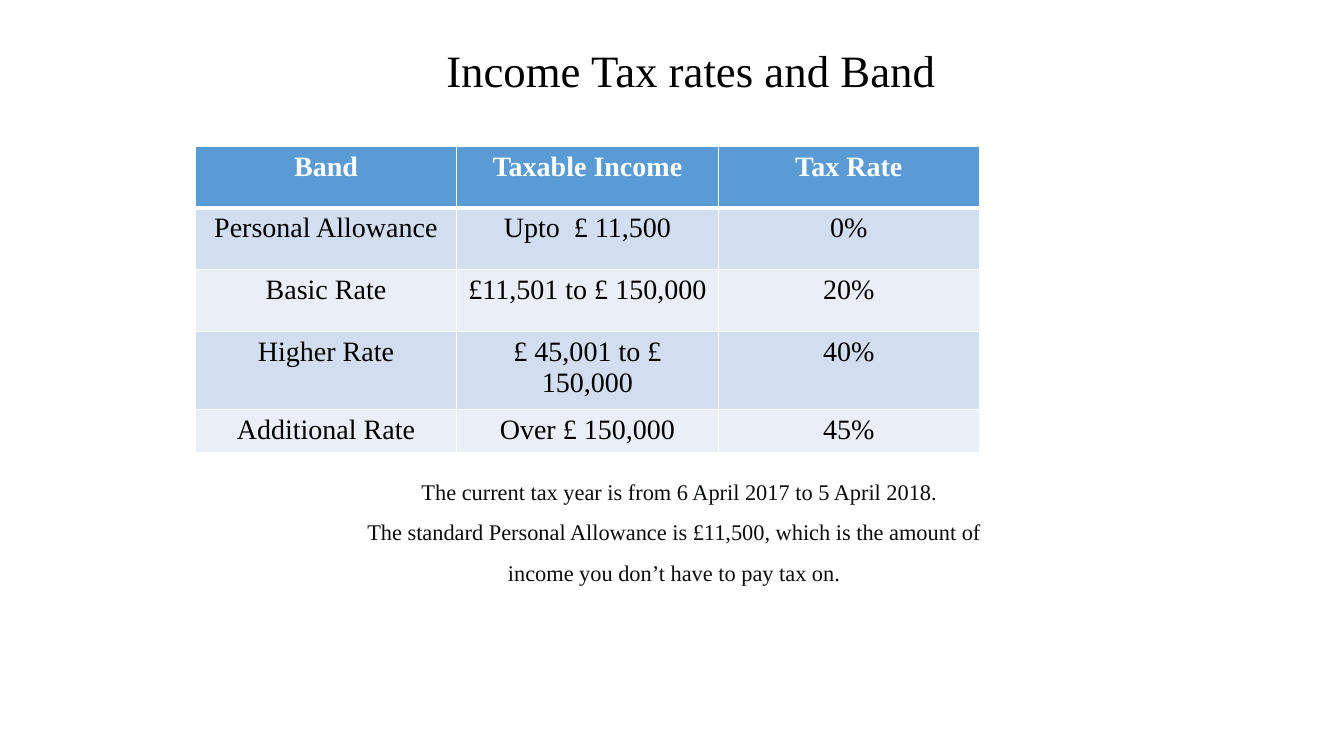
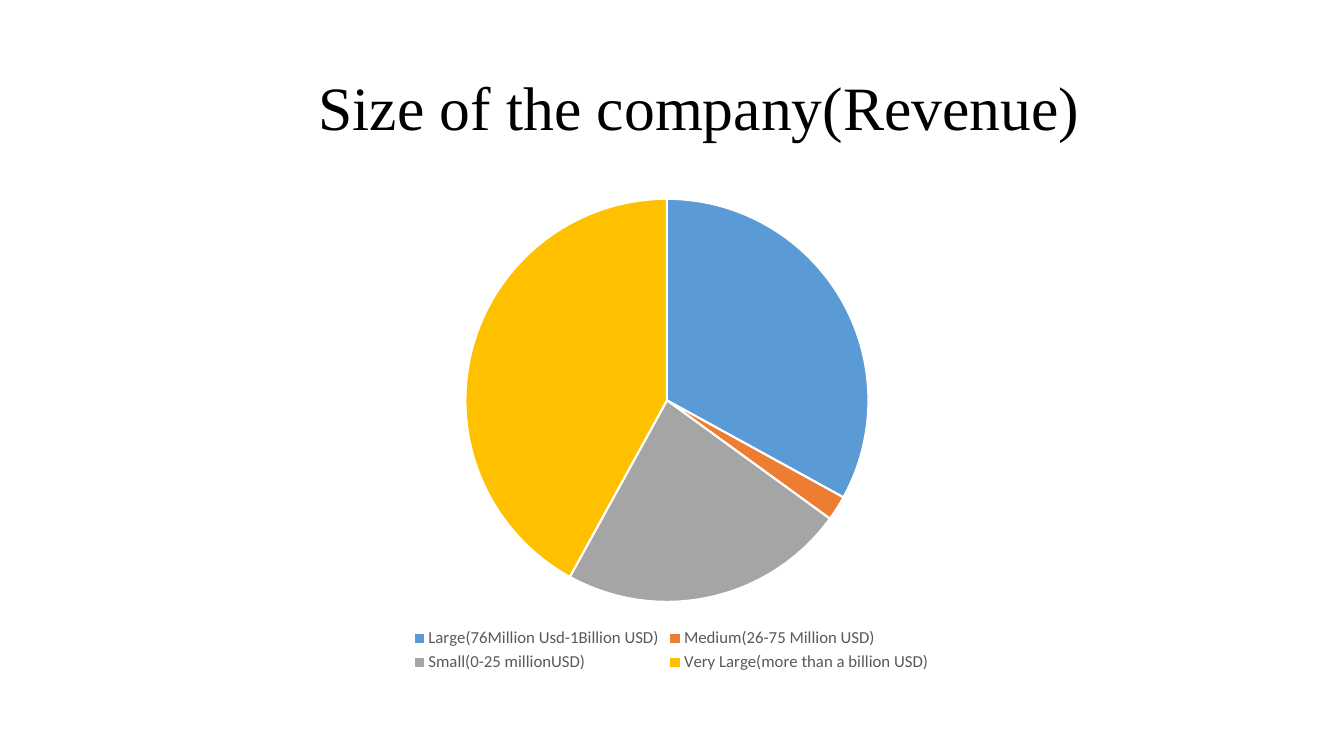
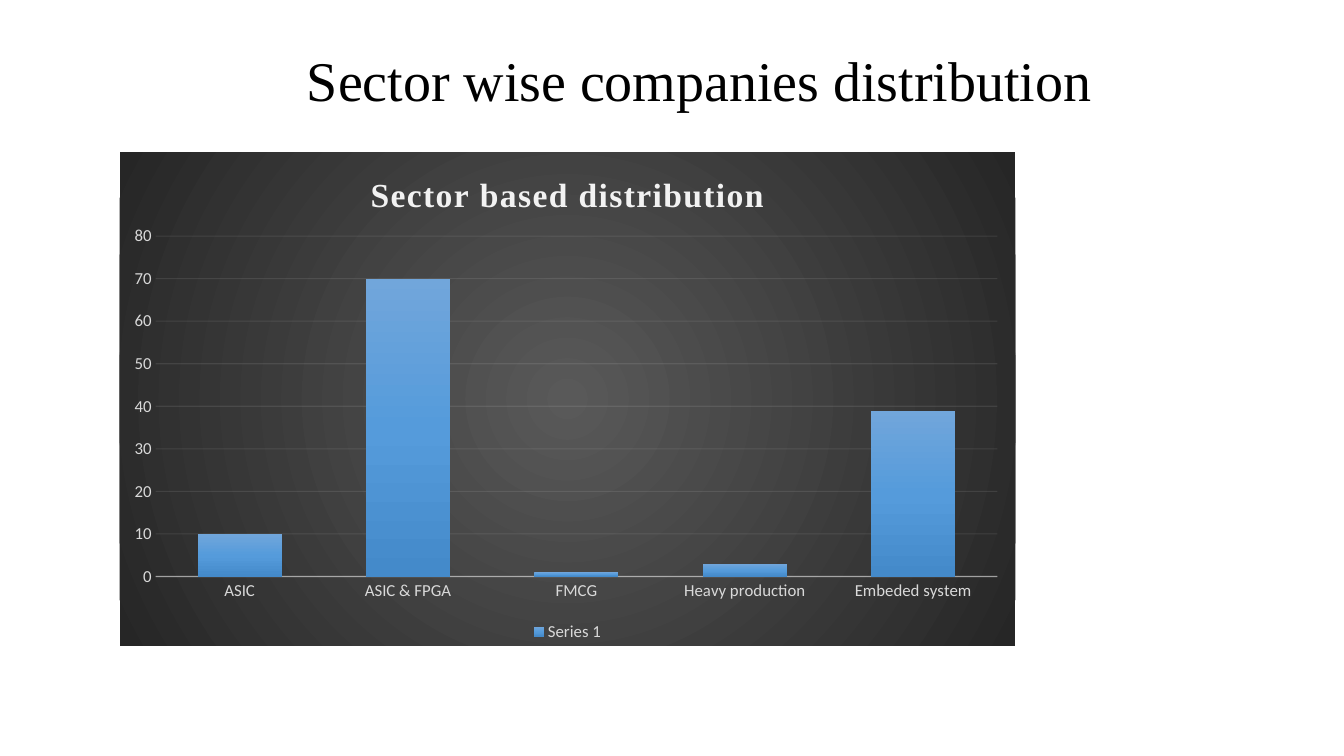
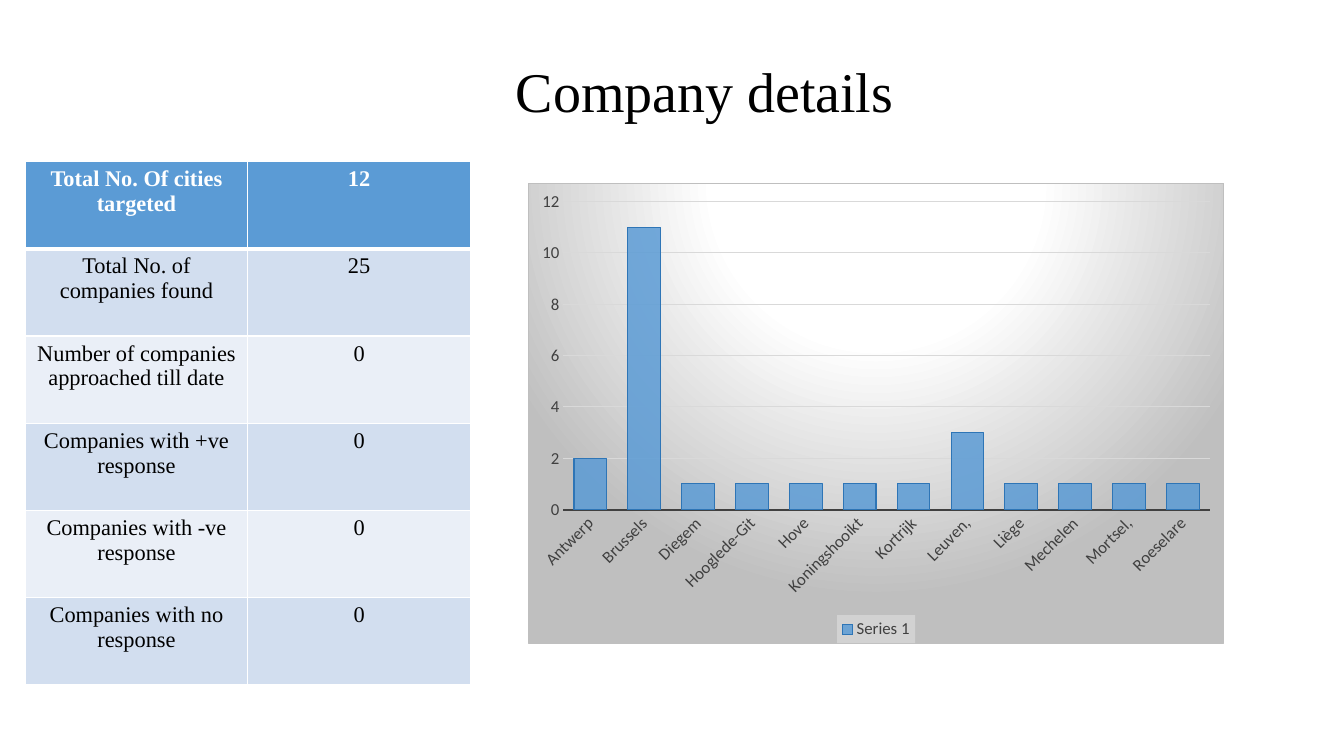
from pptx import Presentation
from pptx.chart.data import CategoryChartData
from pptx.dml.color import RGBColor
from pptx.enum.chart import XL_CHART_TYPE, XL_LEGEND_POSITION, XL_TICK_MARK
from pptx.enum.text import MSO_ANCHOR, PP_ALIGN
from pptx.oxml import parse_xml
from pptx.oxml.ns import nsdecls, qn
from pptx.util import Emu, Pt

EMU_PER_PX = 9525
SERIF = "Times New Roman"
SANS = "Calibri"

BLACK = RGBColor(0x00, 0x00, 0x00)
WHITE = RGBColor(0xFF, 0xFF, 0xFF)
INK = RGBColor(0x0B, 0x0C, 0x0C)
BLUE = RGBColor(0x5B, 0x9B, 0xD5)
DARK_BLUE = RGBColor(0x2E, 0x75, 0xB6)
ORANGE = RGBColor(0xED, 0x7D, 0x31)
GREY = RGBColor(0xA5, 0xA5, 0xA5)
YELLOW = RGBColor(0xFF, 0xC0, 0x00)
BAND_DARK = RGBColor(0xD2, 0xDE, 0xEF)
BAND_LIGHT = RGBColor(0xEA, 0xEF, 0xF7)
PALE = RGBColor(0xF2, 0xF2, 0xF2)
LIGHT_GREY = RGBColor(0xD9, 0xD9, 0xD9)
SILVER = RGBColor(0xBF, 0xBF, 0xBF)
MID_GREY = RGBColor(0x59, 0x59, 0x59)
DARK_GREY = RGBColor(0x40, 0x40, 0x40)
CHARCOAL = RGBColor(0x26, 0x26, 0x26)
BAR_TOP = RGBColor(0x71, 0xA6, 0xDB)
BAR_MIDDLE = RGBColor(0x55, 0x9B, 0xDB)
BAR_BOTTOM = RGBColor(0x44, 0x8A, 0xCA)


def px(*lengths):
    return [Emu(length * EMU_PER_PX) for length in lengths]


def style_font(font, size, color, name, bold=False):
    font.size = Pt(size)
    font.color.rgb = color
    font.name = name
    font.bold = bold


def write_paragraph(paragraph, text, size, color, bold=False):
    paragraph.alignment = PP_ALIGN.CENTER
    run = paragraph.add_run()
    run.text = text
    style_font(run.font, size, color, SERIF, bold)
    return run


def add_text_frame(slide, box):
    frame = slide.shapes.add_textbox(*px(*box)).text_frame
    frame.word_wrap = True
    return frame


def add_title(slide, text, box, size):
    frame = add_text_frame(slide, box)
    frame.vertical_anchor = MSO_ANCHOR.MIDDLE
    frame.paragraphs[0].line_spacing = 0.9
    write_paragraph(frame.paragraphs[0], text, size, BLACK)


def add_notice(slide, box, lines):
    """Add centred lines, each given as (text, left indent in px)."""
    frame = add_text_frame(slide, box)
    for index, (text, indent) in enumerate(lines):
        paragraph = frame.add_paragraph() if index else frame.paragraphs[0]
        paragraph.line_spacing = 1.5
        properties = paragraph._p.get_or_add_pPr()
        properties.set("marL", str(indent * EMU_PER_PX))
        properties.set("indent", "0")
        write_paragraph(paragraph, text, 16, INK)


def set_borders(cell, top, bottom):
    properties = cell._tc.get_or_add_tcPr()
    for side, points in (("L", 1), ("R", 1), ("T", top), ("B", bottom)):
        properties.append(parse_xml(
            f'<a:ln{side} {nsdecls("a")} w="{Pt(points)}"><a:solidFill>'
            f'<a:srgbClr val="{WHITE}"/></a:solidFill></a:ln{side}>'))


def add_banded_table(slide, left, top, column_width, row_heights, rows, size):
    column_count = len(rows[0])
    position = px(left, top, column_width * column_count, sum(row_heights))
    table = slide.shapes.add_table(len(rows), column_count, *position).table
    table.horz_banding = False
    for column in table.columns:
        column.width = px(column_width)[0]
    for index, (height, texts) in enumerate(zip(row_heights, rows)):
        table.rows[index].height = px(height)[0]
        header = index == 0
        fill = BLUE if header else (BAND_LIGHT, BAND_DARK)[index % 2]
        for cell, text in zip(table.rows[index].cells, texts):
            set_borders(cell, 3 if index == 1 else 1, 3 if header else 1)
            cell.fill.solid()
            cell.fill.fore_color.rgb = fill
            write_paragraph(cell.text_frame.paragraphs[0], text, size,
                            WHITE if header else BLACK, header)


def gradient_fill(stops, direction):
    stop_list = "".join(f'<a:gs pos="{percent * 1000}"><a:srgbClr val="{color}"/></a:gs>'
                        for percent, color in stops)
    return (f'<a:gradFill rotWithShape="1"><a:gsLst>{stop_list}</a:gsLst>'
            f'{direction}</a:gradFill>')


def circle_path(left, top, right, bottom):
    """Direction of a radial gradient, with its focus in percent."""
    return (f'<a:path path="circle"><a:fillToRect l="{left * 1000}" t="{top * 1000}" '
            f'r="{right * 1000}" b="{bottom * 1000}"/></a:path>')


def shape_properties(content):
    return parse_xml(f'<c:spPr {nsdecls("c", "a")}>{content}</c:spPr>')


def set_alpha(chart_format, percent):
    properties = chart_format._element.find(qn("c:spPr"))
    for color in properties.iter(qn("a:srgbClr")):
        color.append(parse_xml(f'<a:alpha {nsdecls("a")} val="{percent * 1000}"/>'))


def set_line(chart_format, color, points):
    chart_format.line.color.rgb = color
    chart_format.line.width = Pt(points)


def set_plot_layout(chart, x, y, width, height):
    """Place the inner plot area, in fractions of the chart."""
    area = chart._chartSpace.chart.plotArea
    for layout in area.findall(qn("c:layout")):
        area.remove(layout)
    sizes = "".join(f'<c:{tag} val="{value}"/>' for tag, value in
                    (("x", x), ("y", y), ("w", width), ("h", height)))
    area.insert(0, parse_xml(
        f'<c:layout {nsdecls("c")}><c:manualLayout><c:layoutTarget val="inner"/>'
        f'<c:xMode val="edge"/><c:yMode val="edge"/>{sizes}'
        f'</c:manualLayout></c:layout>'))


def add_chart(slide, kind, box, values, text_color, plot_layout):
    data = CategoryChartData()
    data.categories = list(values)
    data.add_series("Series 1", list(values.values()))
    chart = slide.shapes.add_chart(kind, *px(*box), data).chart
    style_font(chart.font, 10, BLACK, SANS)
    chart.has_title = False
    chart.has_legend = True
    chart.legend.position = XL_LEGEND_POSITION.BOTTOM
    chart.legend.include_in_layout = False
    style_font(chart.legend.font, 12, text_color, SANS)
    set_plot_layout(chart, *plot_layout)
    return chart


def add_pie_chart(slide, box, values, colors, plot_layout):
    chart = add_chart(slide, XL_CHART_TYPE.PIE, box, values, MID_GREY, plot_layout)
    chart.plots[0].vary_by_categories = True
    for index, color in enumerate(colors):
        point_format = chart.plots[0].series[0].points[index].format
        point_format.fill.solid()
        point_format.fill.fore_color.rgb = color
        set_line(point_format, WHITE, 1.5)


def add_column_chart(slide, box, values, text_color, plot_layout, step, maximum, gap):
    chart = add_chart(slide, XL_CHART_TYPE.COLUMN_CLUSTERED, box, values,
                      text_color, plot_layout)
    chart.plots[0].vary_by_categories = False
    chart.plots[0].gap_width = gap
    for axis in (chart.category_axis, chart.value_axis):
        axis.major_tick_mark = axis.minor_tick_mark = XL_TICK_MARK.NONE
        style_font(axis.tick_labels.font, 12, text_color, SANS)
    value_axis = chart.value_axis
    value_axis.minimum_scale = 0
    value_axis.maximum_scale = maximum
    value_axis.major_unit = step
    value_axis.has_major_gridlines = True
    value_axis.format.line.fill.background()
    return chart


def set_chart_background(chart, content):
    chart._chartSpace.find(qn("c:txPr")).addprevious(shape_properties(content))


def add_sector_chart(slide, box, values):
    chart = add_column_chart(slide, box, values, LIGHT_GREY,
                             (0.04, 0.17, 0.94, 0.69), 10, 80, 100)
    chart.plots[0].overlap = -24
    chart.has_title = True
    chart.chart_title.include_in_layout = False
    run = write_paragraph(chart.chart_title.text_frame.paragraphs[0],
                          "Sector based distribution", 24, PALE, True)
    run._r.get_or_add_rPr().set("spc", "100")

    category_format = chart.category_axis.format
    set_line(category_format, PALE, 1)
    set_alpha(category_format, 54)
    grid_format = chart.value_axis.major_gridlines.format
    set_line(grid_format, PALE, 0.75)
    set_alpha(grid_format, 10)

    bars = chart.plots[0].series[0]._element
    properties = bars.get_or_add_spPr()
    bars.replace(properties, shape_properties(gradient_fill(
        [(0, BAR_TOP), (50, BAR_MIDDLE), (100, BAR_BOTTOM)],
        '<a:lin ang="5400000" scaled="0"/>')))
    set_chart_background(chart, gradient_fill(
        [(0, MID_GREY), (100, CHARCOAL)], circle_path(50, 50, 50, 50))
        + "<a:ln><a:noFill/></a:ln>")


def add_city_chart(slide, box, values):
    chart = add_column_chart(slide, box, values, DARK_GREY,
                             (0.05, 0.04, 0.93, 0.67), 2, 12, 65)
    set_line(chart.category_axis.format, DARK_GREY, 1.5)
    set_line(chart.value_axis.major_gridlines.format, LIGHT_GREY, 0.75)
    label_body = chart.category_axis._element.find(qn("c:txPr")).find(qn("a:bodyPr"))
    label_body.set("rot", "-2700000")
    label_body.set("vert", "horz")

    bar_format = chart.plots[0].series[0].format
    bar_format.fill.solid()
    bar_format.fill.fore_color.rgb = BLUE
    set_alpha(bar_format, 85)
    set_line(bar_format, DARK_BLUE, 0.75)

    chart.legend._element.find(qn("c:txPr")).addprevious(shape_properties(
        f'<a:solidFill><a:srgbClr val="{PALE}"><a:alpha val="39000"/>'
        f'</a:srgbClr></a:solidFill>'))
    set_chart_background(chart, gradient_fill(
        [(0, WHITE), (39, WHITE), (100, SILVER)], circle_path(50, -80, 50, 180))
        + f'<a:ln w="{Pt(0.75)}"><a:solidFill><a:srgbClr val="{SILVER}"/>'
          f'</a:solidFill></a:ln>')


def build_tax_slide(slide):
    add_title(slide, "Income Tax rates and Band", (106, 0, 1104, 139), 32)
    add_notice(slide, (315, 438, 640, 121), [
        ("The current tax year is from 6 April 2017 to 5 April 2018.", 24),
        ("The standard Personal Allowance is £11,500, which is the amount of "
         "income you don’t have to pay tax on.", 14),
    ])
    add_banded_table(slide, 186, 139, 249, [59] * 4 + [34], [
        ("Band", "Taxable Income", "Tax Rate"),
        ("Personal Allowance", "Upto  £ 11,500", "0%"),
        ("Basic Rate", "£11,501 to £ 150,000", "20%"),
        ("Higher Rate", "£ 45,001 to £ 150,000", "40%"),
        ("Additional Rate", "Over £ 150,000", "45%"),
    ], 20)


def build_revenue_slide(slide):
    add_title(slide, "Size of the company(Revenue)", (114, 36, 1104, 139), 44)
    add_pie_chart(slide, (213, 175, 853, 469), {
        "Large(76Million Usd-1Billion USD)": 33,
        "Medium(26-75 Million USD)": 2,
        "Small(0-25 millionUSD)": 23,
        "Very Large(more than a billion USD)": 42,
    }, (BLUE, ORANGE, GREY, YELLOW), (0.27, 0.03, 0.45, 0.82))


def build_sector_slide(slide):
    add_title(slide, "Sector wise companies distribution", (114, 36, 1104, 87), 40)
    add_sector_chart(slide, (114, 145, 853, 470), {
        "ASIC": 10, "ASIC & FPGA": 70, "FMCG": 1,
        "Heavy production": 3, "Embeded system": 39,
    })


def build_company_slide(slide):
    add_title(slide, "Company details", (119, 46, 1104, 88), 40)
    add_banded_table(slide, 24, 154, 212, [83] * 6, [
        ("Total No. Of cities targeted", "12"),
        ("Total No. of companies found", "25"),
        ("Number of companies approached till date", "0"),
        ("Companies with +ve response", "0"),
        ("Companies with -ve response", "0"),
        ("Companies with no response", "0"),
    ], 16)
    add_city_chart(slide, (503, 174, 663, 439), {
        "Antwerp": 2, "Brussels": 11, "Diegem": 1, "Hooglede-Git": 1,
        "Hove": 1, "Koningshooikt": 1, "Kortrijk": 1, "Leuven,": 3,
        "Liège": 1, "Mechelen": 1, "Mortsel,": 1, "Roeselare": 1,
    })


def main():
    presentation = Presentation()
    presentation.slide_width, presentation.slide_height = px(1280, 720)
    blank = presentation.slide_layouts[6]
    for build in (build_tax_slide, build_revenue_slide,
                  build_sector_slide, build_company_slide):
        build(presentation.slides.add_slide(blank))
    presentation.save("out.pptx")


if __name__ == "__main__":
    main()
